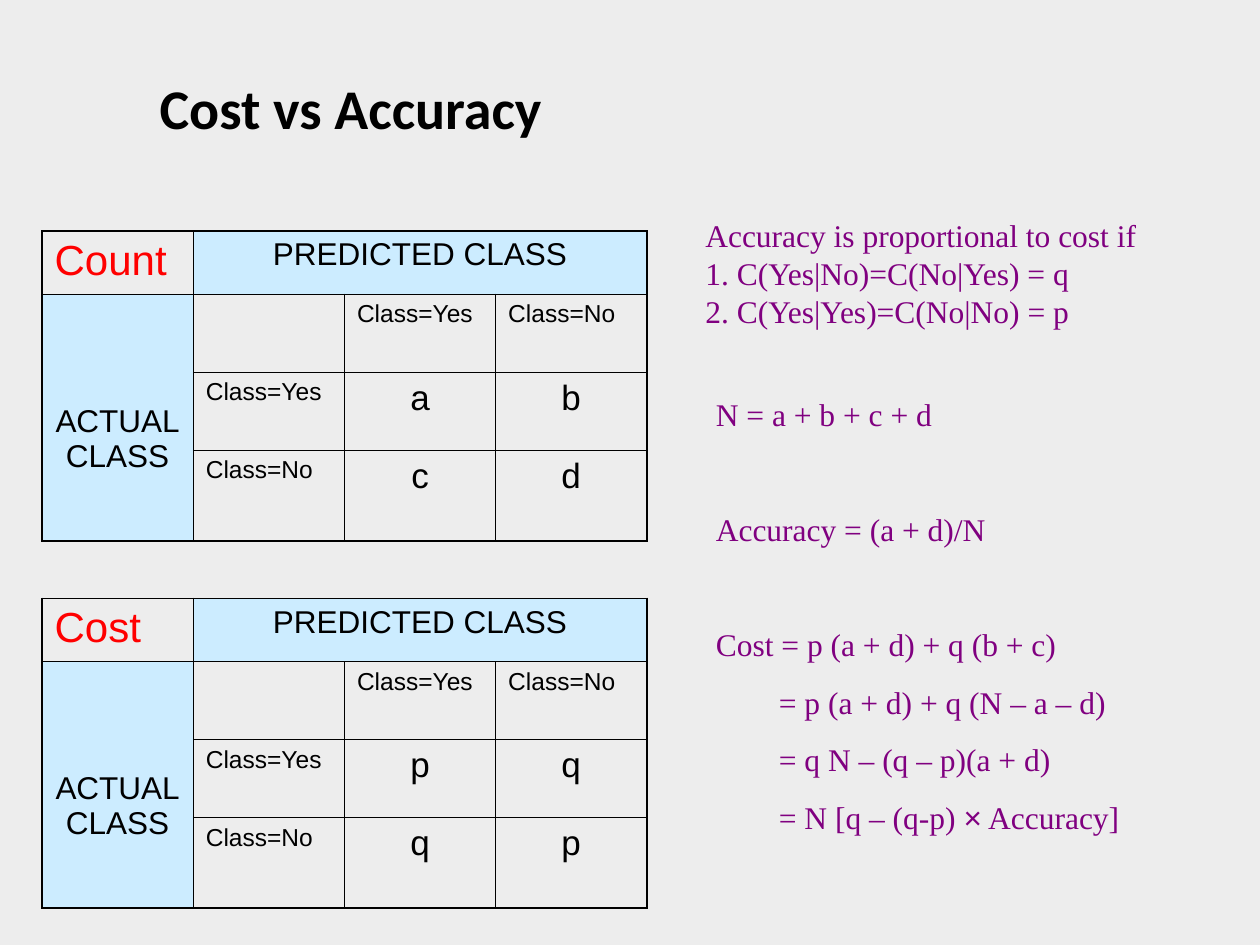
from lxml.etree import SubElement
from pptx import Presentation
from pptx.dml.color import RGBColor
from pptx.enum.text import MSO_ANCHOR, MSO_AUTO_SIZE, PP_ALIGN
from pptx.oxml.ns import qn
from pptx.util import Pt

# Content
TITLE = "Cost vs Accuracy"
MATRICES = [
    {"name": "Count", "top": 132, "values": [["a", "b"], ["c", "d"]]},
    {"name": "Cost", "top": 342, "values": [["p", "q"], ["q", "p"]]},
]
CLASSES = ["Class=Yes", "Class=No"]
PREDICTED = "PREDICTED CLASS"
ACTUAL = "ACTUAL\vCLASS"
CONDITIONS = ("Accuracy is proportional to cost if\v"
              "1. C(Yes|No)=C(No|Yes) = q\v"
              "2. C(Yes|Yes)=C(No|No) = p")
NARROW, WIDE = 11.2, 44.1
# Text, space before, left indent
FORMULAS = [
    ("N = a + b + c + d", 0, 0),
    ("Accuracy = (a + d)/N", WIDE, 0),
    ("Cost = p (a + d) + q (b + c)", WIDE, 0),
    ("= p (a + d) + q (N – a – d)", NARROW, 36),
    ("= q N – (q – p)(a + d)", NARROW, 36),
    ("= N [q – (q-p) × Accuracy]", NARROW, 36),
]

COLORS = {"background": "EDEDED", "text": "000000", "name": "FF0000",
          "header": "CCECFF", "formula": "800080", "border": "000000"}
COLUMN_WIDTH = 86.4
ROW_HEIGHTS = [36, 44.6, 44.6, 51.8]
OUTER, INNER = 1.08, 0.45
FORMULA_STYLE = {"font": "Times New Roman", "color": "formula", "line": 21.7}


def rgb(key):
    return RGBColor.from_string(COLORS[key])


def write(paragraph, text, size=18, font="Arial", color="text", bold=False,
          align=PP_ALIGN.LEFT, before=0, indent=0, line=None):
    """Fill one paragraph; the multiplication sign is always set in Arial."""
    if indent:
        paragraph._p.get_or_add_pPr().set("marL", str(Pt(indent)))
        paragraph._p.get_or_add_pPr().set("indent", "0")
    paragraph.alignment = align
    paragraph.space_before = Pt(before)
    if line:
        paragraph.line_spacing = Pt(line)
    head, sign, tail = text.partition("×")
    for part, face in ((head, font), (sign, "Arial"), (tail, font)):
        for number, piece in enumerate(part.split("\v") if part else []):
            if number:
                paragraph.add_line_break()
            run = paragraph.add_run()
            run.text = piece
            run.font.size = Pt(size)
            run.font.name = face
            run.font.bold = bold
            run.font.color.rgb = rgb(color)


def add_border(cell, tag, width):
    edge = SubElement(cell._tc.get_or_add_tcPr(), qn(tag), w=str(Pt(width)))
    fill = SubElement(edge, qn("a:solidFill"))
    SubElement(fill, qn("a:srgbClr"), val=COLORS["border"])


def region(row, column):
    """First row, first column, last row, last column of the merged area."""
    if row == 0 and column > 0:
        return 0, 1, 0, 3
    if column == 0 and row > 0:
        return 1, 0, 3, 0
    return row, column, row, column


def add_matrix(slide, name, top, values):
    table = slide.shapes.add_table(4, 4, Pt(24), Pt(top), Pt(4 * COLUMN_WIDTH),
                                   Pt(sum(ROW_HEIGHTS))).table
    table.first_row = table.horz_banding = False
    for column in table.columns:
        column.width = Pt(COLUMN_WIDTH)
    for row, height in zip(table.rows, ROW_HEIGHTS):
        row.height = Pt(height)
    table.cell(0, 1).merge(table.cell(0, 3))
    table.cell(1, 0).merge(table.cell(3, 0))

    # Borders and fills
    for r in range(4):
        for c in range(4):
            cell = table.cell(r, c)
            first_row, first_col, last_row, last_col = region(r, c)
            for tag, outside in (("a:lnL", first_col == 0), ("a:lnR", last_col == 3),
                                 ("a:lnT", first_row == 0), ("a:lnB", last_row == 3)):
                add_border(cell, tag, OUTER if outside else INNER)
            if (r == 0) != (c == 0):
                cell.fill.solid()
                cell.fill.fore_color.rgb = rgb("header")
            else:
                cell.fill.background()

    # Headings, class labels and values
    def put(r, c, text, **style):
        write(table.cell(r, c).text_frame.paragraphs[0], text, **style)

    put(0, 0, name, size=24, color="name")
    put(0, 1, PREDICTED, align=PP_ALIGN.CENTER)
    table.cell(1, 0).margin_top = Pt(62.6)
    put(1, 0, ACTUAL, align=PP_ALIGN.CENTER)
    for i, label in enumerate(CLASSES):
        put(1, 2 + i, label, size=14)
        put(2 + i, 1, label, size=14)
        for j, value in enumerate(values[i]):
            put(2 + i, 2 + j, value, size=20, align=PP_ALIGN.CENTER)


def add_text(slide, left, top, width, height, lines):
    frame = slide.shapes.add_textbox(Pt(left), Pt(top), Pt(width), Pt(height)).text_frame
    frame.word_wrap = True
    for number, (text, before, indent) in enumerate(lines):
        paragraph = frame.add_paragraph() if number else frame.paragraphs[0]
        write(paragraph, text, before=before, indent=indent, **FORMULA_STYLE)


def main():
    deck = Presentation()
    deck.slide_width, deck.slide_height = Pt(720), Pt(540)
    slide = deck.slides.add_slide(deck.slide_layouts[5])
    slide.background.fill.solid()
    slide.background.fill.fore_color.rgb = rgb("background")

    # Title
    title = slide.shapes.title
    title.left, title.top, title.width, title.height = Pt(84), Pt(42), Pt(546), Pt(42)
    title.text_frame.auto_size = MSO_AUTO_SIZE.NONE
    title.text_frame.vertical_anchor = MSO_ANCHOR.BOTTOM
    write(title.text_frame.paragraphs[0], TITLE, size=32, font="Calibri", bold=True)

    # Matrices on the left, derivation on the right
    for matrix in MATRICES:
        add_matrix(slide, **matrix)
    add_text(slide, 402, 222, 282, 291.6, FORMULAS)
    add_text(slide, 396, 120, 294, 72, [(CONDITIONS, 0, 0)])
    deck.save("out.pptx")


if __name__ == "__main__":
    main()
